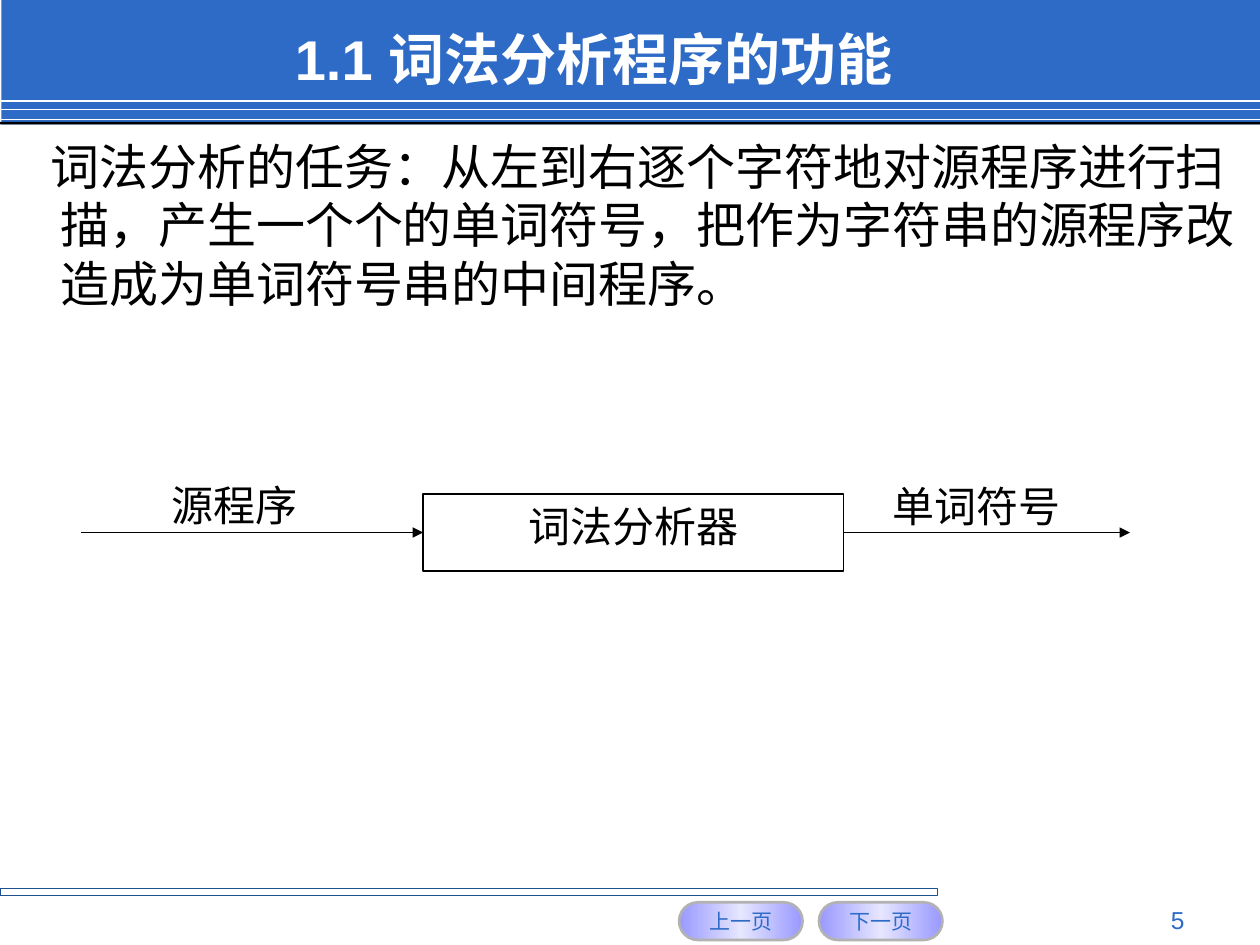
"""Build the slide on the task of a lexical analyser."""
from copy import deepcopy
from pptx import Presentation
from pptx.dml.color import RGBColor as RGB
from pptx.enum.shapes import MSO_CONNECTOR as Link, MSO_SHAPE as Kind
from pptx.enum.text import MSO_ANCHOR as Anchor, PP_ALIGN as Align
from pptx.oxml.ns import qn
from pptx.oxml.xmlchemy import OxmlElement as Node
from pptx.util import Cm, Pt

BLUE = RGB(0x2D, 0x6B, 0xC7)
NAVY = RGB(0x1D, 0x52, 0x8D)
LILAC = RGB(0x99, 0x99, 0xFF)
PALE = RGB(0xE6, 0xE6, 0xFF)
GREY = RGB(0xB2, 0xB2, 0xB2)
WHITE = RGB(0xFF, 0xFF, 0xFF)
BLACK = RGB(0, 0, 0)


def write(shape, text, size, color, font="Arial", align=Align.CENTER, wrap=True):
    frame = shape.text_frame
    frame.word_wrap = wrap
    frame.text = text
    para = frame.paragraphs[0]
    para.alignment = align
    para.font.size = Pt(size)
    para.font.name = font
    para.font.color.rgb = color
    return para


def draw(start, end, color, width):
    line = shapes.add_connector(Link.STRAIGHT, *start, *end)
    line.line.color.rgb = color
    line.line.width = Pt(width)
    line._element.spPr.append(Node("a:effectLst"))
    return line


deck = Presentation()
deck.slide_width, deck.slide_height = Cm(25.4), Cm(19.05)
slide = deck.slides.add_slide(deck.slide_layouts[5])
shapes = slide.shapes
title = shapes.title

band = shapes.add_shape(Kind.RECTANGLE, Cm(0.03), 0, Cm(25.37), Cm(2.51))
edge = shapes.add_shape(Kind.RECTANGLE, 0, Cm(2.46), Cm(25.4), Cm(0.05))
for bar, color in ((band, BLUE), (edge, BLACK)):
    bar.shadow.inherit = False
    bar.fill.solid()
    bar.fill.fore_color.rgb = color
    bar.line.fill.background()
for y in (2.03, 2.21, 2.41):
    draw((0, Cm(y)), (Cm(25.4), Cm(y)), WHITE, 1)
shapes._spTree.remove(edge._element)
shapes._spTree.append(edge._element)

foot = shapes.add_shape(Kind.RECTANGLE, 0, Cm(17.91), Cm(18.9), Cm(0.15))
foot.shadow.inherit = False
foot.fill.background()
foot.line.color.rgb = NAVY
foot.line.width = Pt(0.75)

for x, label in ((13.69, "上一页"), (16.51, "下一页")):
    key = shapes.add_shape(Kind.ROUNDED_RECTANGLE, Cm(x), Cm(18.19), Cm(2.49), Cm(0.76))
    key.adjustments[0] = 0.5
    key.shadow.inherit = False
    key.line.color.rgb = GREY
    key.line.width = Pt(1.5)
    key.fill.gradient()
    key.fill.gradient_angle = 0
    first = key._element.spPr.find(".//" + qn("a:gs"))
    first.addnext(deepcopy(first))
    for stop, place, color in zip(key.fill.gradient_stops, (0, 0.5, 1), (LILAC, PALE, LILAC)):
        stop.position = place
        stop.color.rgb = color
    write(key, label, 12, BLUE, wrap=False)
    key.text_frame.vertical_anchor = Anchor.MIDDLE

page = shapes.add_textbox(Cm(18.21), Cm(18.11), Cm(5.92), Cm(0.69))
write(page, "5", 14, BLUE, align=Align.RIGHT)

title.left, title.top, title.width, title.height = Cm(5.69), Cm(0.43), Cm(17.58), Cm(1.47)
write(title, "1.1 词法分析程序的功能", 32, WHITE, align=Align.LEFT).font.bold = True
title.text_frame.vertical_anchor = Anchor.MIDDLE
shapes._spTree.append(title._element)

body = shapes.add_textbox(0, Cm(2.62), Cm(25.4), Cm(15.19))
task = write(
    body,
    "词法分析的任务：从左到右逐个字符地对源程序进行扫描，产生一个个的单词符号，"
    "把作为字符串的源程序改造成为单词符号串的中间程序。",
    28, BLACK, align=Align.LEFT)
props = task._p.get_or_add_pPr()
props.set("marL", str(Cm(0.97)))
props.set("indent", str(Cm(-0.2)))

box = shapes.add_shape(Kind.RECTANGLE, Cm(8.53), Cm(9.96), Cm(8.48), Cm(1.55))
box.shadow.inherit = False
box.fill.solid()
box.fill.fore_color.rgb = WHITE
box.line.color.rgb = BLACK
box.line.width = Pt(0.75)
write(box, "词法分析器", 24, BLACK, "Times New Roman")
box.text_frame.vertical_anchor = Anchor.TOP

mid = box.top + box.height // 2
enter = draw((Cm(1.63), mid), (box.left, mid), BLACK, 0.75)
enter.end_connect(box, 1)
leave = draw((box.left + box.width, mid), (Cm(22.78), mid), BLACK, 0.75)
leave.begin_connect(box, 3)
for arrow in (enter, leave):
    tip = Node("a:tailEnd")
    tip.set("type", "triangle")
    arrow.line._get_or_add_ln().append(tip)

for x, y, high, inset, label in (
        (2.34, 9.53, 1.55, 0.13, "源程序"), (17.3, 9.65, 1.17, 0.03, "单词符号")):
    note = shapes.add_textbox(Cm(x), Cm(y), Cm(4.78), Cm(high))
    note.text_frame.margin_top = Cm(inset)
    write(note, label, 24, BLACK, "Times New Roman")

deck.save("out.pptx")
